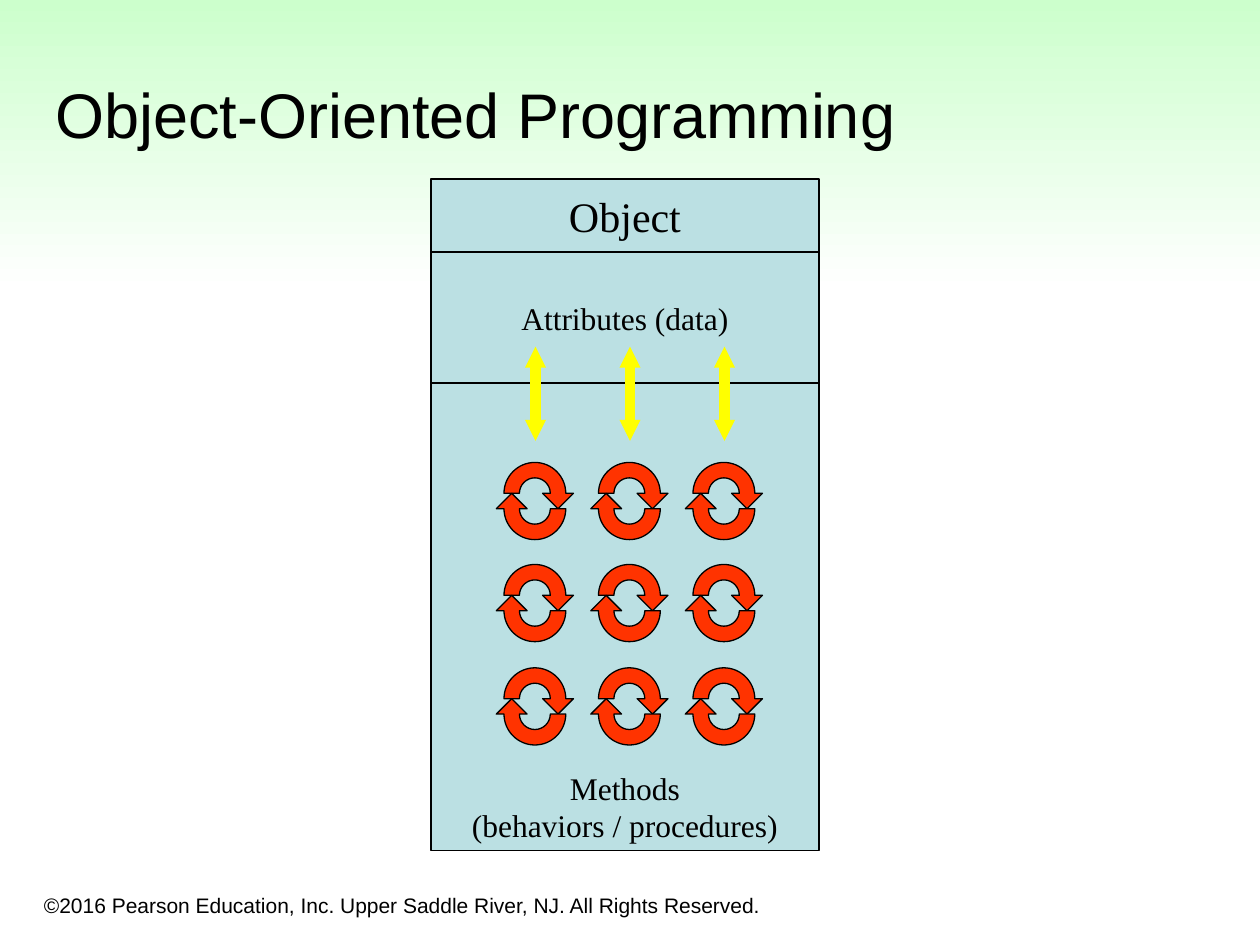
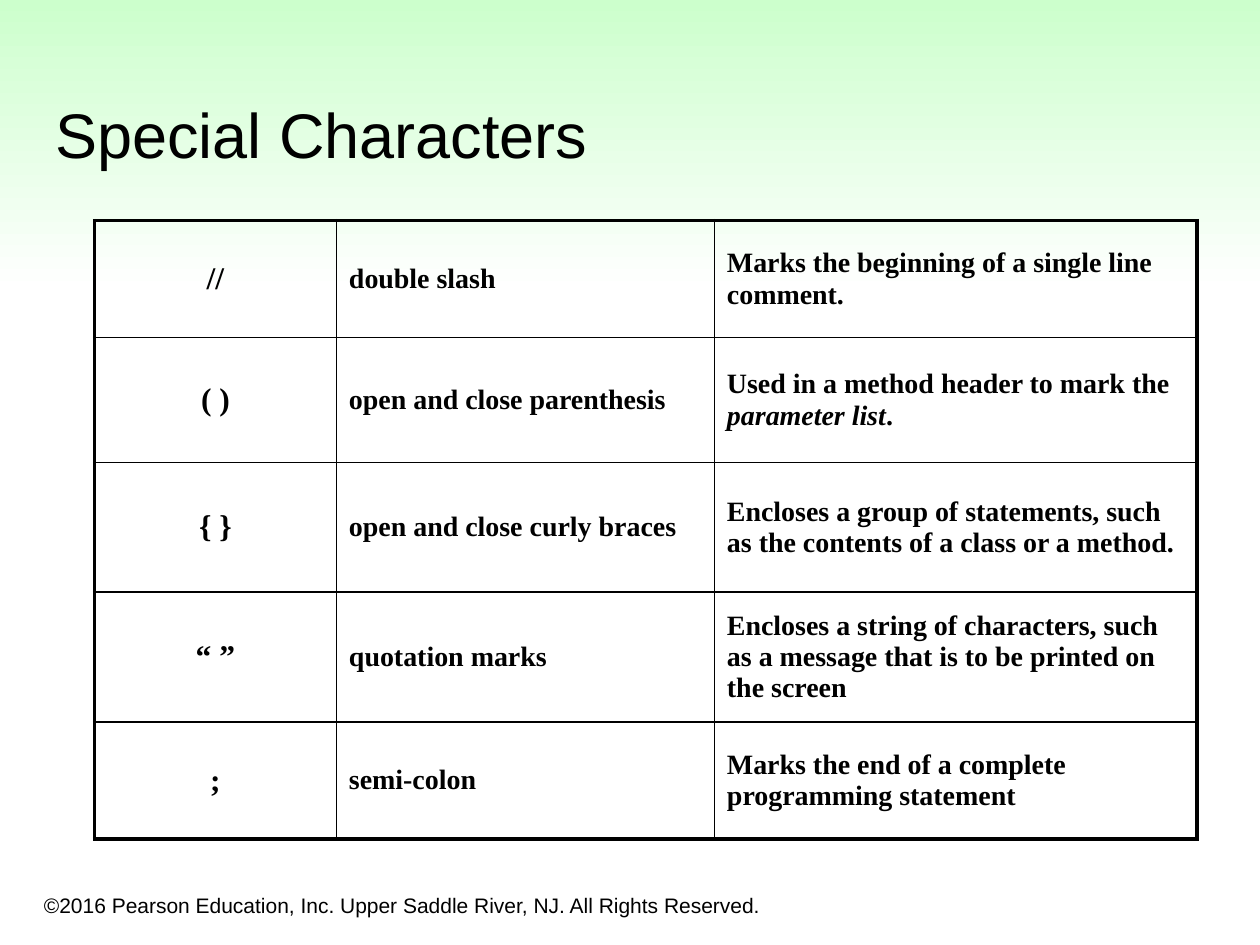
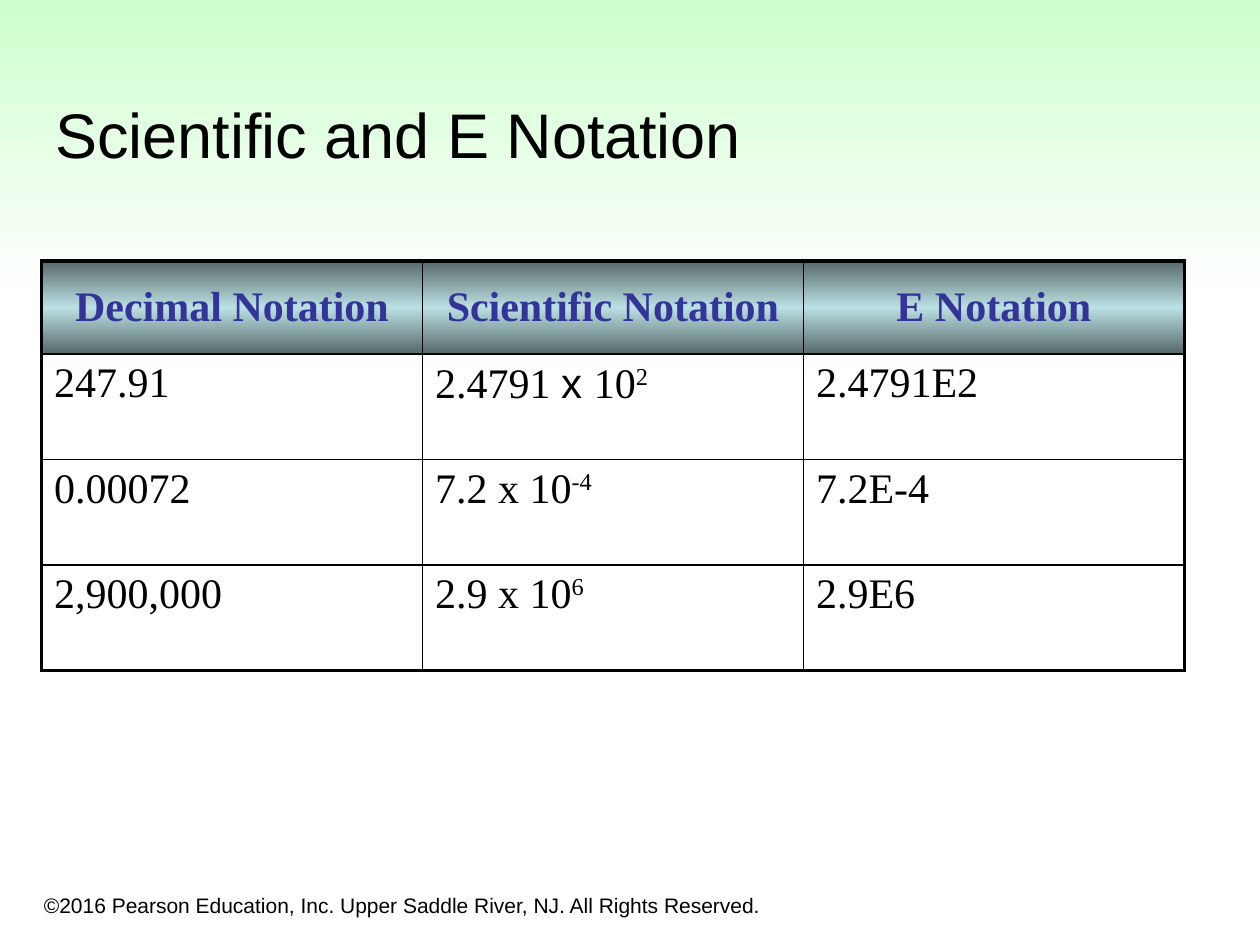
from lxml import etree
from pptx import Presentation
from pptx.dml.color import RGBColor
from pptx.enum import shapes, text
from pptx.oxml.ns import qn
from pptx.util import Inches, Pt

SANS, SERIF = "Arial", "Times New Roman"
BLACK, PALE_BLUE, RED, YELLOW, NAVY = "000000", "BBE0E3", "FF3300", "FFFF00", "333399"
BAND_STOPS = [(0, "CCFFCC"), (100, "FFFFFF")]
HEADER_STOPS = [(0, "576869"), (50, PALE_BLUE), (100, "576869")]
COPYRIGHT = "©2016 Pearson Education, Inc. Upper Saddle River, NJ. All Rights Reserved."
THIN, THICK = 1, 2.25
CENTER, LEFT = text.PP_ALIGN.CENTER, text.PP_ALIGN.LEFT
MIDDLE, TOP, BOTTOM = text.MSO_ANCHOR.MIDDLE, text.MSO_ANCHOR.TOP, text.MSO_ANCHOR.BOTTOM

# Half-ring arrow on a grid where the ring is 80 units wide.
RING = 80
HALF_RING = [
    ("moveTo", [(60, 40)]),
    ("cubicBezTo", [(60, 29), (51, 20), (40, 20)]),
    ("cubicBezTo", [(29, 20), (20, 29), (20, 40)]),
    ("lnTo", [(0, 40)]),
    ("cubicBezTo", [(0, 18), (18, 0), (40, 0)]),
    ("cubicBezTo", [(62, 0), (80, 18), (80, 40)]),
    ("lnTo", [(90, 40)]),
    ("lnTo", [(70, 60)]),
    ("lnTo", [(50, 40)]),
    ("lnTo", [(60, 40)]),
    ("close", []),
]


def rgb(value):
    return RGBColor.from_string(value)


def gradient(fill, properties, stops):
    """Fill from top to bottom with (percent, colour) stops."""
    fill.gradient()
    fill.gradient_angle = 270
    gs_list = properties.find(".//" + qn("a:gsLst"))
    for gs in list(gs_list):
        gs_list.remove(gs)
    for percent, color in stops:
        gs = etree.SubElement(gs_list, qn("a:gs"), pos=str(percent * 1000))
        etree.SubElement(gs, qn("a:srgbClr"), val=color)


def write(tf, content, size=18, font=SERIF, color=BLACK, bold=False, align=LEFT):
    """Write a string, or a list of (text, overrides) runs; newlines become breaks."""
    p = tf.paragraphs[0]
    p.alignment = align
    runs = [(content, {})] if isinstance(content, str) else content
    for run_text, extra in runs:
        for i, line in enumerate(run_text.split("\n")):
            if i:
                p.add_line_break()
            r = p.add_run()
            r.text = line
            r.font.size = Pt(size)
            r.font.name = extra.get("font", font)
            r.font.bold = bold
            r.font.italic = extra.get("italic", False)
            r.font.color.rgb = rgb(color)
            if extra.get("superscript"):
                r._r.get_or_add_rPr().set("baseline", "30000")


def add_text(s, box, content, **style):
    sp = s.shapes.add_textbox(*map(Inches, box))
    tf = sp.text_frame
    tf.word_wrap = True
    tf.vertical_anchor = BOTTOM
    write(tf, content, **style)
    return sp


def paint(sp, fill):
    sp.shadow.inherit = False
    sp.fill.solid()
    sp.fill.fore_color.rgb = rgb(fill)
    sp.line.color.rgb = rgb(BLACK)
    sp.line.width = Pt(0.75)


def decorate_layout(s):
    """Build the shared band and footer, and move them to the slide's layout."""
    band = s.shapes.add_shape(shapes.MSO_SHAPE.PENTAGON, 0, Inches(-0.01), Inches(10), Inches(2.33))
    band.adjustments[0] = 0
    band.shadow.inherit = False
    band.line.fill.background()
    gradient(band.fill, band._element.spPr, BAND_STOPS)
    footer = add_text(s, (0.25, 6.92, 6.08, 0.41), COPYRIGHT, size=12, font=SANS)
    for sp in (band, footer):
        s.slide_layout.shapes._spTree.append(sp._element)


def new_slide(prs, title, title_top=0.33):
    s = prs.slides.add_slide(prs.slide_layouts[6])
    if len(prs.slides) == 1:
        decorate_layout(s)
    add_text(s, (0.34, title_top, 9.42, 1.08), title, size=36, font=SANS)
    return s


def add_compartment(s, top, height, label, size=18, anchor=MIDDLE):
    sp = s.shapes.add_shape(shapes.MSO_SHAPE.RECTANGLE, *map(Inches, (3.42, top, 3.08, height)))
    paint(sp, PALE_BLUE)
    tf = sp.text_frame
    tf.word_wrap = False
    tf.vertical_anchor = anchor
    write(tf, label, size=size, align=CENTER)


def add_half_ring(s, left, top, side, turned):
    """Draw one curved arrow, turned by half a circle if asked."""
    x, y, edge = Inches(left), Inches(top), Inches(side)
    builder = s.shapes.build_freeform(x, y)
    builder.add_line_segments([(x + edge, y), (x + edge, y + edge), (x, y + edge)])
    sp = builder.convert_to_shape()
    paint(sp, RED)
    outline = sp._element.find(".//" + qn("a:path"))
    for child in list(outline):
        outline.remove(child)
    outline.set("w", str(RING))
    outline.set("h", str(RING))
    for command, points in HALF_RING:
        step = etree.SubElement(outline, qn("a:" + command))
        for px, py in points:
            if turned:
                px, py = RING - px, RING - py
            etree.SubElement(step, qn("a:pt"), x=str(px), y=str(py))


def add_cycle(s, left, top, side=0.49):
    """Draw two half-ring arrows chasing each other."""
    add_half_ring(s, left, top, side, turned=False)
    add_half_ring(s, left, top + side / 4, side, turned=True)


def add_double_arrow(s, x, top, bottom):
    line = s.shapes.add_connector(shapes.MSO_CONNECTOR.STRAIGHT, *map(Inches, (x, bottom, x, top)))
    line.line.color.rgb = rgb(YELLOW)
    line.line.width = Pt(6)
    ln = line.line._get_or_add_ln()
    for end in ("a:headEnd", "a:tailEnd"):
        etree.SubElement(ln, qn(end), type="triangle", w="sm", len="sm")
    etree.SubElement(line._element.spPr, qn("a:effectLst"))


def set_borders(cell, widths):
    """Set black borders; widths are in the order left, right, top, bottom."""
    properties = cell._tc.get_or_add_tcPr()
    for side, width in zip("LRTB", widths):
        ln = etree.SubElement(properties, qn("a:ln" + side), w=str(Pt(width)))
        fill = etree.SubElement(ln, qn("a:solidFill"))
        etree.SubElement(fill, qn("a:srgbClr"), val=BLACK)


def add_grid(s, left, top, col_widths, row_heights, rows, style_of):
    """Add a table with a thick frame; style_of(row, col) gives anchor, stops, text style."""
    last_row, last_col = len(rows) - 1, len(col_widths) - 1
    size = (sum(col_widths), sum(row_heights))
    table = s.shapes.add_table(len(rows), len(col_widths), *map(Inches, (left, top, *size))).table
    table.first_row = table.horz_banding = False
    for column, width in zip(table.columns, col_widths):
        column.width = Inches(width)
    for i, (row, height) in enumerate(zip(rows, row_heights)):
        table.rows[i].height = Inches(height)
        for j, content in enumerate(row):
            cell = table.cell(i, j)
            edges = (j == 0, j == last_col, i == 0, i == last_row)
            set_borders(cell, [THICK if edge else THIN for edge in edges])
            anchor, stops, style = style_of(i, j)
            cell.vertical_anchor = anchor
            if stops:
                gradient(cell.fill, cell._tc.tcPr, stops)
            else:
                cell.fill.background()
            write(cell.text_frame, content, **style)


def character_style(row, col):
    if col == 0:
        return MIDDLE, None, dict(size=18, bold=True, align=CENTER)
    return MIDDLE, None, dict(size=16, bold=True)


def notation_style(row, col):
    if row == 0:
        return MIDDLE, HEADER_STOPS, dict(size=24, color=NAVY, bold=True, align=CENTER)
    return TOP, None, dict(size=24)


def object_slide(prs):
    s = new_slide(prs, "Object-Oriented Programming", title_top=0.17)
    diagram = s.shapes.add_group_shape()
    add_compartment(diagram, 1.42, 0.58, "Object", size=24)
    add_compartment(diagram, 2, 1.04, "Attributes (data)")
    add_compartment(diagram, 3.04, 3.71, "Methods\n(behaviors / procedures)", anchor=BOTTOM)
    columns = [4 + 0.75 * i for i in range(3)]
    for top in (3.67, 4.48, 5.3):
        for left in columns:
            add_cycle(diagram, left, top)
    for left in columns:
        add_double_arrow(diagram, left + 0.25, 2.75, 3.5)


def characters_slide(prs):
    s = new_slide(prs, "Special Characters")
    parameter_list = [("Used in a method header to mark the ", {}),
                      ("parameter list", {"italic": True}), (".", {})]
    rows = [
        ("//", "double slash", "Marks the beginning of a single line comment."),
        ("( )", "open and close parenthesis", parameter_list),
        ("{ }", "open and close curly braces",
         "Encloses a group of statements, such as the contents of a class or a method."),
        ("“ ”", "quotation marks",
         "Encloses a string of characters, such as a message that is to be printed on the screen"),
        (";", "semi-colon", "Marks the end of a complete programming statement"),
    ]
    add_grid(s, 0.75, 1.75, (1.92, 3, 3.83), (0.93, 0.99, 1.03, 1.03, 0.93), rows, character_style)


def notation_slide(prs):
    s = new_slide(prs, "Scientific and E Notation")
    raised = {"superscript": True}
    rows = [
        ("Decimal Notation", "Scientific Notation", "E Notation"),
        ("247.91", [("2.4791 ", {}), ("x ", {"font": SANS}), ("10", {}), ("2", raised)], "2.4791E2"),
        ("0.00072", [("7.2 x 10", {}), ("-4", raised)], "7.2E-4"),
        ("2,900,000", [("2.9 x 10", {}), ("6", raised)], "2.9E6"),
    ]
    header, body = 0.74, 2.51
    add_grid(s, 0.33, 2.07, [9.07 / 3] * 3, [header] + [body / 3] * 3, rows, notation_style)


def main():
    prs = Presentation()
    prs.slide_width, prs.slide_height = Inches(10), Inches(7.5)
    object_slide(prs)
    characters_slide(prs)
    notation_slide(prs)
    prs.save("out.pptx")


if __name__ == "__main__":
    main()
